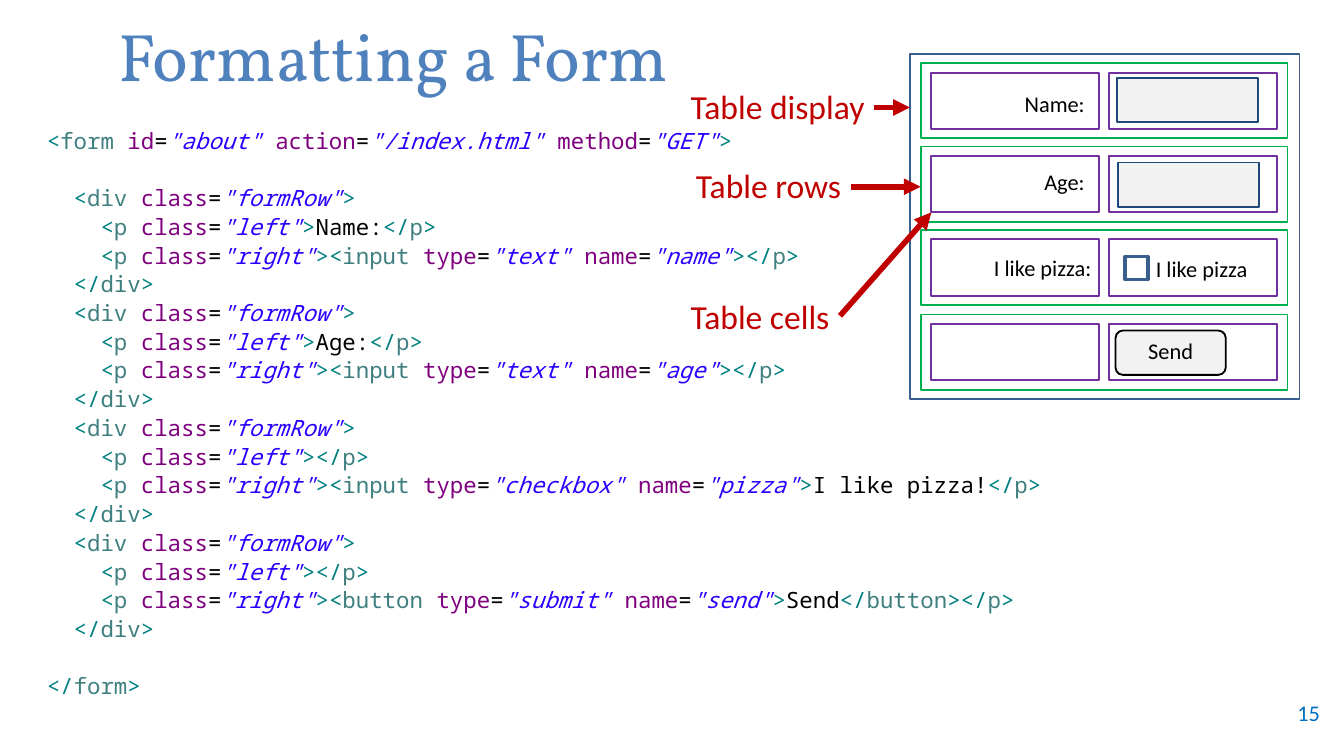
"""Build the slide on formatting a form with table display."""
from dataclasses import dataclass
from itertools import groupby
from typing import Iterator

from lxml import etree
from pptx import Presentation
from pptx import util as u
from pptx.dml.color import RGBColor
from pptx.enum import shapes, text
from pptx.oxml.ns import qn

PX = 9144
BLACK, RED, PURPLE, GREEN = "000000", "C00000", "7030A0", "00B050"
STEEL, NAVY, GREY = "3A5F8C", "1F497D", "F2F2F2"
SYNTAX = {"bracket": "008080", "tag": "3F7F7F", "attribute": "7F007F",
          "sign": BLACK, "string": "2A00FF", "content": BLACK}
LEFT, CENTER, RIGHT = text.PP_ALIGN.LEFT, text.PP_ALIGN.CENTER, text.PP_ALIGN.RIGHT
LINE_GAP = 15.4


@dataclass
class Box:
    """A frame in px."""
    left: int
    top: int
    width: int
    height: int

    def emu(self) -> list[int]:
        """Return the frame in EMU."""
        return [side * PX for side in (self.left, self.top, self.width, self.height)]


@dataclass
class Callout:
    """A red label with an arrow to a part of the form."""
    label: str
    box: Box
    start: tuple[int, int]
    end: tuple[int, int]


@dataclass
class FormRow:
    """The markup inside the two cells of a form row."""
    left: str
    right: str


FORM_ROWS = [
    FormRow("Name:", '<input type="text" name="name">'),
    FormRow("Age:", '<input type="text" name="age">'),
    FormRow("", '<input type="checkbox" name="pizza">I like pizza!'),
    FormRow("", '<button type="submit" name="send">Send</button>'),
]
ROW_TOPS = [234, 47, 109, 171]
FORM_LABELS = [("Name:", Box(734, 62, 83, 30)), ("Age:", Box(734, 120, 83, 30)),
               ("I like pizza:", Box(721, 184, 101, 30)),
               ("I like pizza", Box(837, 185, 101, 30))]
CALLOUTS = [
    Callout("Table display", Box(504, 59, 159, 40), (650, 80), (677, 80)),
    Callout("Table rows", Box(508, 118, 159, 40), (633, 139), (685, 139)),
    Callout("Table cells", Box(504, 215, 133, 40), (625, 235), (693, 158)),
]


def rgb(value: str) -> RGBColor:
    """Turn a hex string into a colour."""
    return RGBColor.from_string(value)


def style_font(font, size: float, face: str, color: str, italic: bool = False) -> None:
    """Set the look of a font."""
    font.size, font.name, font.italic = u.Pt(size), face, italic
    font.color.rgb = rgb(color)


def add_text(slide, words: str, box: Box, *, size: float = 12, face: str = "Calibri",
             color: str = BLACK, align=LEFT, anchor=text.MSO_ANCHOR.TOP) -> None:
    """Write one paragraph in a text box."""
    frame = slide.shapes.add_textbox(*box.emu()).text_frame
    frame.word_wrap, frame.vertical_anchor = True, anchor
    paragraph = frame.paragraphs[0]
    paragraph.alignment = align
    run = paragraph.add_run()
    run.text = words
    style_font(run.font, size, face, color)


def add_frame(slide, box: Box, line: str, *, fill: str = "", weight: float = 1,
              kind=shapes.MSO_SHAPE.RECTANGLE) -> None:
    """Draw an outlined shape, filled if a fill is given."""
    frame = slide.shapes.add_shape(kind, *box.emu())
    frame.shadow.inherit = False
    frame.line.color.rgb, frame.line.width = rgb(line), u.Pt(weight)
    if fill:
        frame.fill.solid()
        frame.fill.fore_color.rgb = rgb(fill)
    else:
        frame.fill.background()


def add_callout(slide, callout: Callout) -> None:
    """Draw a label and its arrow."""
    add_text(slide, callout.label, callout.box, size=18, color=RED)
    ends = [side * PX for side in callout.start + callout.end]
    arrow = slide.shapes.add_connector(shapes.MSO_CONNECTOR.STRAIGHT, *ends)
    arrow.line.color.rgb, arrow.line.width = rgb(RED), u.Pt(3)
    properties = arrow.element.spPr
    etree.SubElement(properties.find(qn("a:ln")), qn("a:tailEnd"), type="triangle")
    etree.SubElement(properties, qn("a:effectLst"))


def classify(line: str) -> Iterator[tuple[str, str]]:
    """Yield the syntax class and the character along a line of markup."""
    part, kind, quoted = "content", "content", False
    for char in line:
        if char == '"':
            quoted, kind = not quoted, "string"
        elif quoted:
            kind = "string"
        elif char in "<>":
            part, kind = "tag" if char == "<" else "content", "bracket"
        elif char == "/" and part == "tag":
            kind = "bracket"
        elif char == " " and part != "content":
            part = "attribute"
        elif char == "=" and part == "attribute":
            kind = "sign"
        else:
            kind = part
        yield kind, char


def form_markup() -> list[str]:
    """Return the lines of the form's HTML."""
    lines = ['<form id="about" action="/index.html" method="GET">']
    for row in FORM_ROWS:
        lines += ['  <div class="formRow">',
                  f'    <p class="left">{row.left}</p>',
                  f'    <p class="right">{row.right}</p>',
                  '  </div>']
    return lines + ["</form>"]


def add_code(slide, lines: list[str], box: Box) -> None:
    """Write highlighted markup, set apart at its first and last line."""
    frame = slide.shapes.add_textbox(*box.emu()).text_frame
    frame.word_wrap = True
    for index, line in enumerate(lines):
        paragraph = frame.paragraphs[0] if index == 0 else frame.add_paragraph()
        paragraph.line_spacing = 1.07
        paragraph.space_after = u.Pt(LINE_GAP if index in (0, len(lines) - 2) else 0)
        for kind, pairs in groupby(classify(line), key=lambda pair: pair[0]):
            run = paragraph.add_run()
            run.text = "".join(char for _, char in pairs)
            style_font(run.font, 12, "Noto Sans Mono", SYNTAX[kind], kind == "string")


def add_form(slide) -> None:
    """Draw the form as a table with rows, cells and controls."""
    for top in ROW_TOPS:
        for left in (693, 825):
            add_frame(slide, Box(left, top + 7, 125, 42), PURPLE)
        add_frame(slide, Box(685, top, 273, 56), GREEN)
    add_frame(slide, Box(677, 40, 290, 257), STEEL)
    for label, box in FORM_LABELS:
        add_text(slide, label, box, align=RIGHT)
    add_frame(slide, Box(837, 191, 17, 17), STEEL, weight=2)
    add_frame(slide, Box(830, 246, 82, 33), BLACK, fill=GREY,
              kind=shapes.MSO_SHAPE.ROUNDED_RECTANGLE)
    add_text(slide, "Send", Box(830, 246, 82, 30), align=CENTER)
    for left, top in ((831, 58), (832, 121)):
        add_frame(slide, Box(left, top, 105, 33), NAVY, fill=GREY)


def main() -> None:
    """Build and save the slide."""
    deck = Presentation()
    deck.slide_width = 1000 * PX
    deck.slide_height = deck.slide_width * 9 // 16
    slide = deck.slides.add_slide(deck.slide_layouts[6])
    middle = text.MSO_ANCHOR.MIDDLE
    add_text(slide, "Formatting a Form", Box(9, 7, 567, 67), size=36, face="Vollkorn",
             color="4F81BD", align=CENTER, anchor=middle)
    add_text(slide, "15", Box(925, 515, 67, 30), color="0070C0", align=RIGHT, anchor=middle)
    add_code(slide, form_markup(), Box(25, 88, 767, 442))
    add_form(slide)
    for callout in CALLOUTS:
        add_callout(slide, callout)
    deck.save("out.pptx")


if __name__ == "__main__":
    main()
